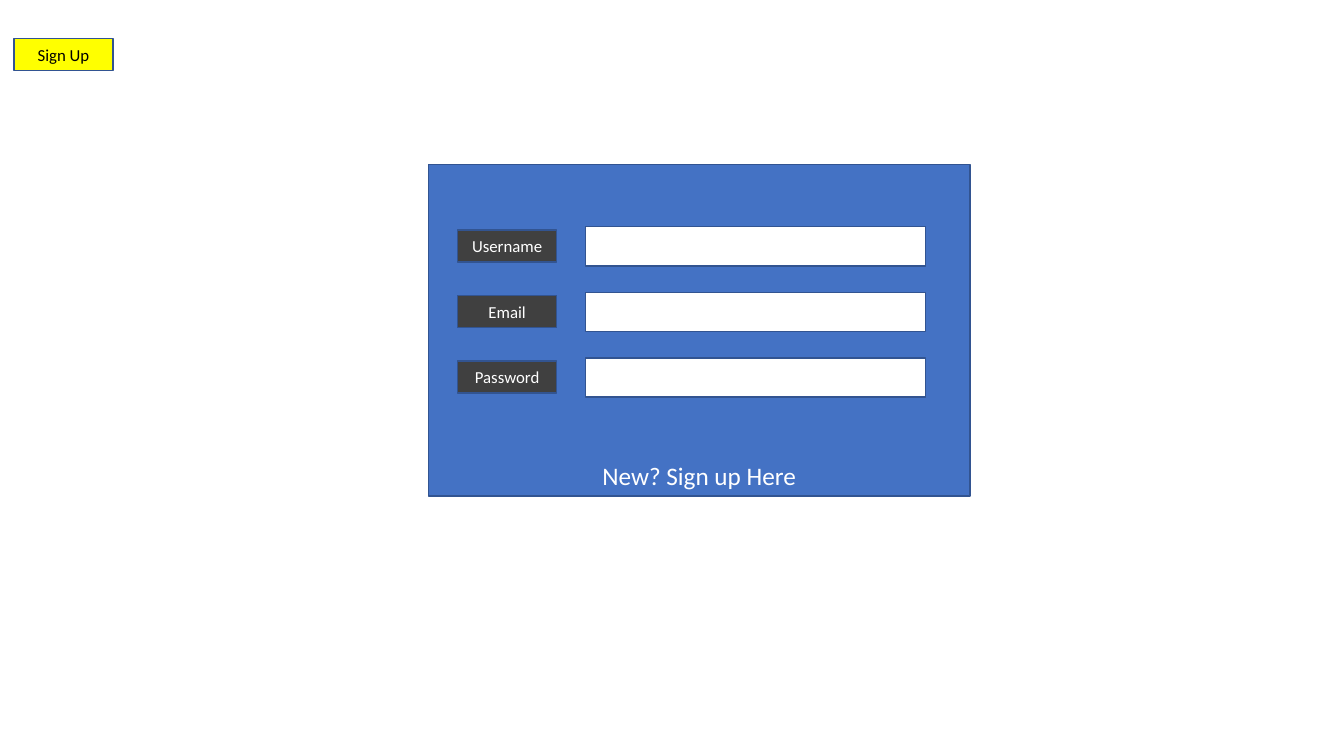
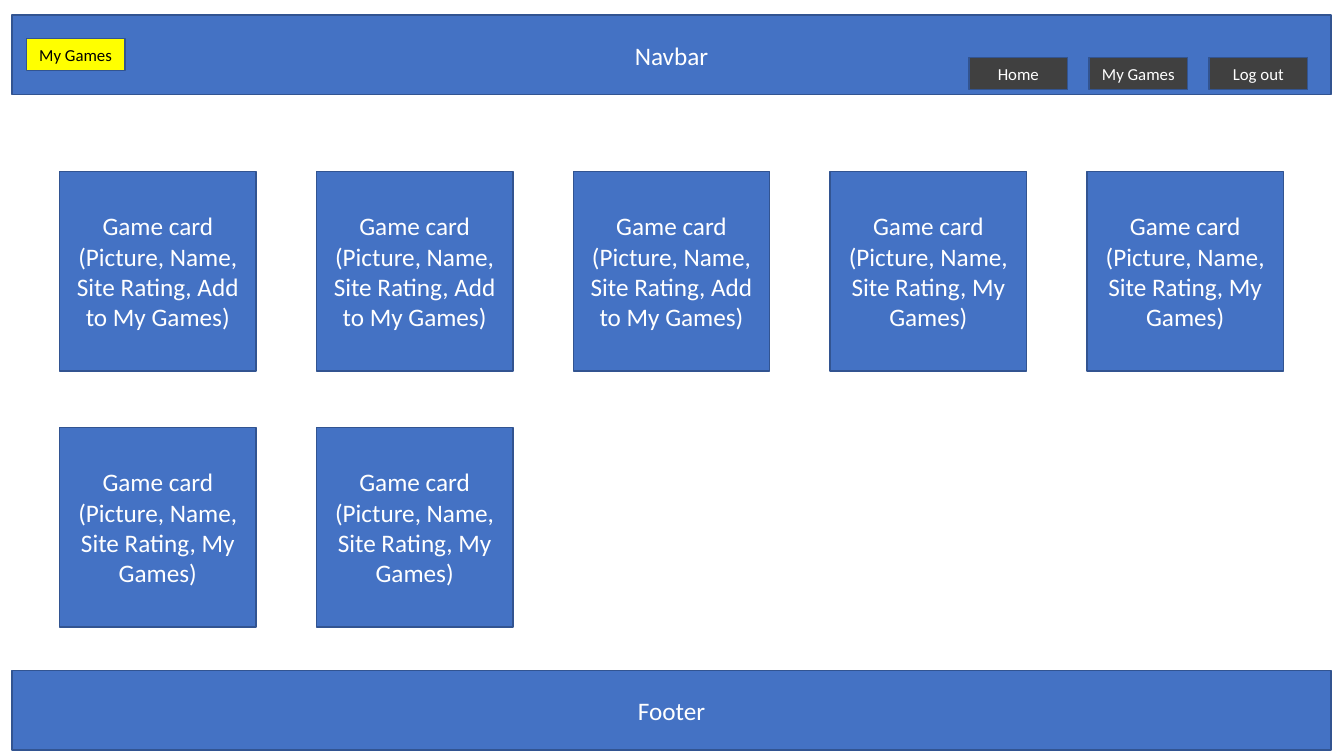
from pptx import Presentation
from pptx.dml.color import RGBColor
from pptx.enum.shapes import MSO_SHAPE
from pptx.enum.text import MSO_ANCHOR, PP_ALIGN
from pptx.util import Inches, Pt

COLORS = {
    "panel": "4472C4",
    "outline": "325491",
    "button": "404040",
    "tag": "FFFF00",
    "white": "FFFFFF",
    "black": "000000",
}
FONT = "Calibri"
BUTTON_SIZE = (0.98, 0.32)
BAND_SIZE = (13.08, 0.79)
BAND_LEFT = 0.12
TAG_TOP = 0.38


def add_block(slide, box, fill, text="", size=18, color="white", anchor=MSO_ANCHOR.MIDDLE):
    """Add an outlined rectangle with centred text; box is left, top, width, height."""
    block = slide.shapes.add_shape(MSO_SHAPE.RECTANGLE, *map(Inches, box))
    block.shadow.inherit = False
    block.fill.solid()
    block.fill.fore_color.rgb = RGBColor.from_string(COLORS[fill])
    block.line.color.rgb = RGBColor.from_string(COLORS["outline"])
    block.line.width = Pt(1)
    frame = block.text_frame
    frame.word_wrap = True
    frame.vertical_anchor = anchor
    frame.text = text
    for paragraph in frame.paragraphs:
        paragraph.alignment = PP_ALIGN.CENTER
        for run in paragraph.runs:
            run.font.name = FONT
            run.font.size = Pt(size)
            run.font.color.rgb = RGBColor.from_string(COLORS[color])


def add_button(slide, left, top, label):
    """Add a dark button."""
    add_block(slide, (left, top, *BUTTON_SIZE), "button", label, 12)


def add_page_tag(slide, left, label):
    """Add the yellow tag that names the page."""
    add_block(slide, (left, TAG_TOP, *BUTTON_SIZE), "tag", label, 12, "black")


def add_band(slide, top, label):
    """Add a full-width band."""
    add_block(slide, (BAND_LEFT, top, *BAND_SIZE), "panel", label)


def add_sign_up_form(slide, box, fields):
    """Add the form panel with one labelled entry per field."""
    left, top, _, _ = box
    add_block(slide, box, "panel", "New? Sign up Here", anchor=MSO_ANCHOR.BOTTOM)
    for row, field in enumerate(fields):
        entry_top = top + 0.62 + row * 0.65
        add_block(slide, (left + 1.56, entry_top, 3.37, 0.39), "white")
        add_button(slide, left + 0.29, entry_top + 0.03, field)


def add_navbar(slide, top, links):
    """Add the navigation band and its link buttons."""
    add_band(slide, top, "Navbar")
    for column, link in enumerate(links):
        add_button(slide, BAND_LEFT + 9.49 + column * 1.19, top + 0.42, link)


def add_game_cards(slide, box, actions, columns=5):
    """Add a grid of game cards, filled row by row within the box."""
    left, top, width, height = box
    card_width, card_height = 1.95, 1.98
    column_step = (width - card_width) / (columns - 1)
    row_step = height - card_height
    for index, action in enumerate(actions):
        row, column = divmod(index, columns)
        card = (left + column * column_step, top + row * row_step, card_width, card_height)
        add_block(slide, card, "panel", f"Game card\n(Picture, Name, Site Rating, {action})")


def build_sign_up(slide):
    """Build the sign-up page."""
    add_sign_up_form(slide, (4.25, 1.63, 5.37, 3.29), ["Username", "Email", "Password"])
    add_page_tag(slide, 0.14, "Sign Up")


def build_my_games(slide):
    """Build the page of game cards."""
    add_navbar(slide, 0.15, ["Home", "My Games", "Log out"])
    add_game_cards(slide, (0.59, 1.7, 12.14, 4.52), ["Add to My Games"] * 3 + ["My Games"] * 4)
    add_page_tag(slide, 0.26, "My Games")
    add_band(slide, 6.65, "Footer")


deck = Presentation()
deck.slide_width = Inches(13.33)
deck.slide_height = Inches(7.5)
for build_page in (build_sign_up, build_my_games):
    build_page(deck.slides.add_slide(deck.slide_layouts[6]))
deck.save("out.pptx")
